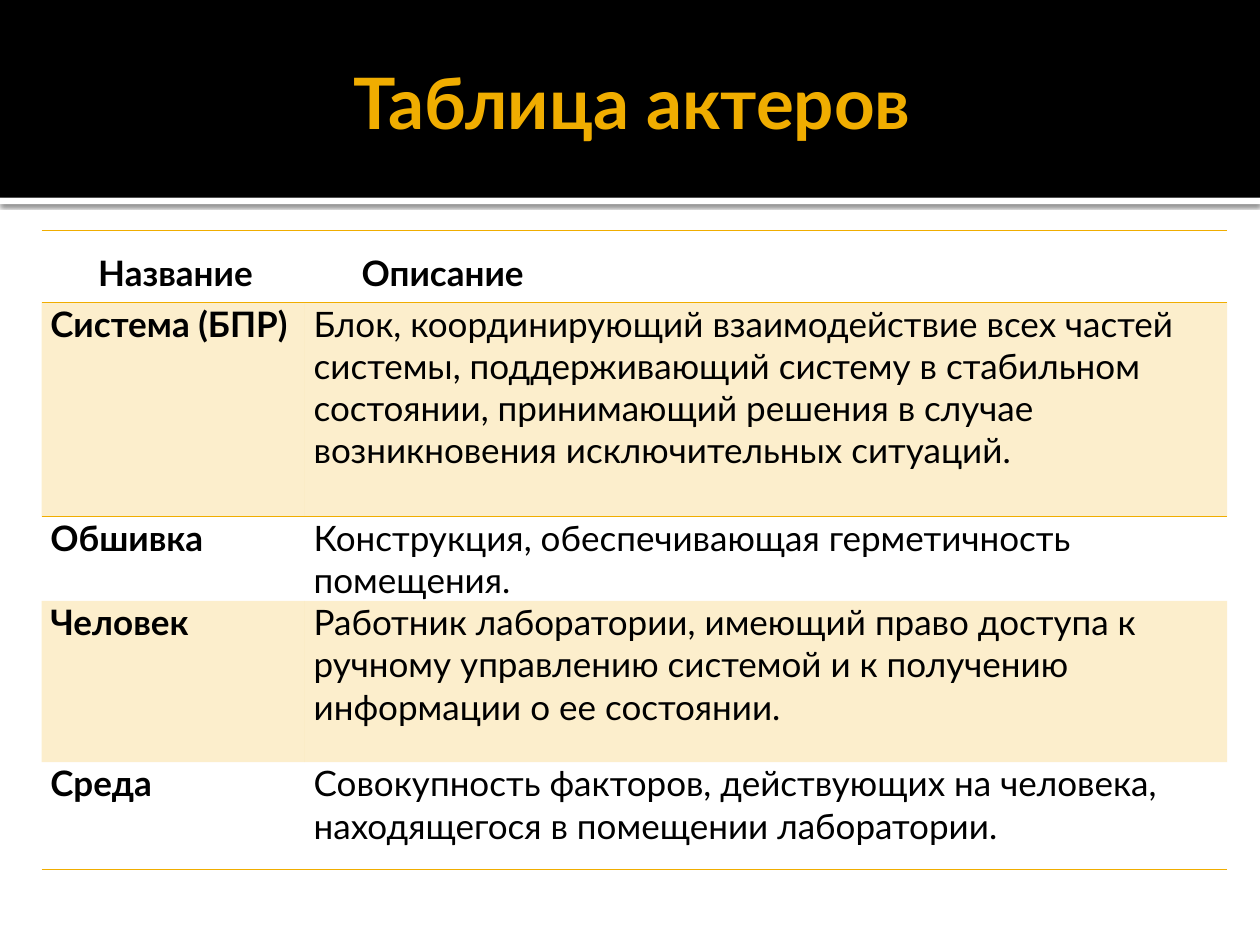
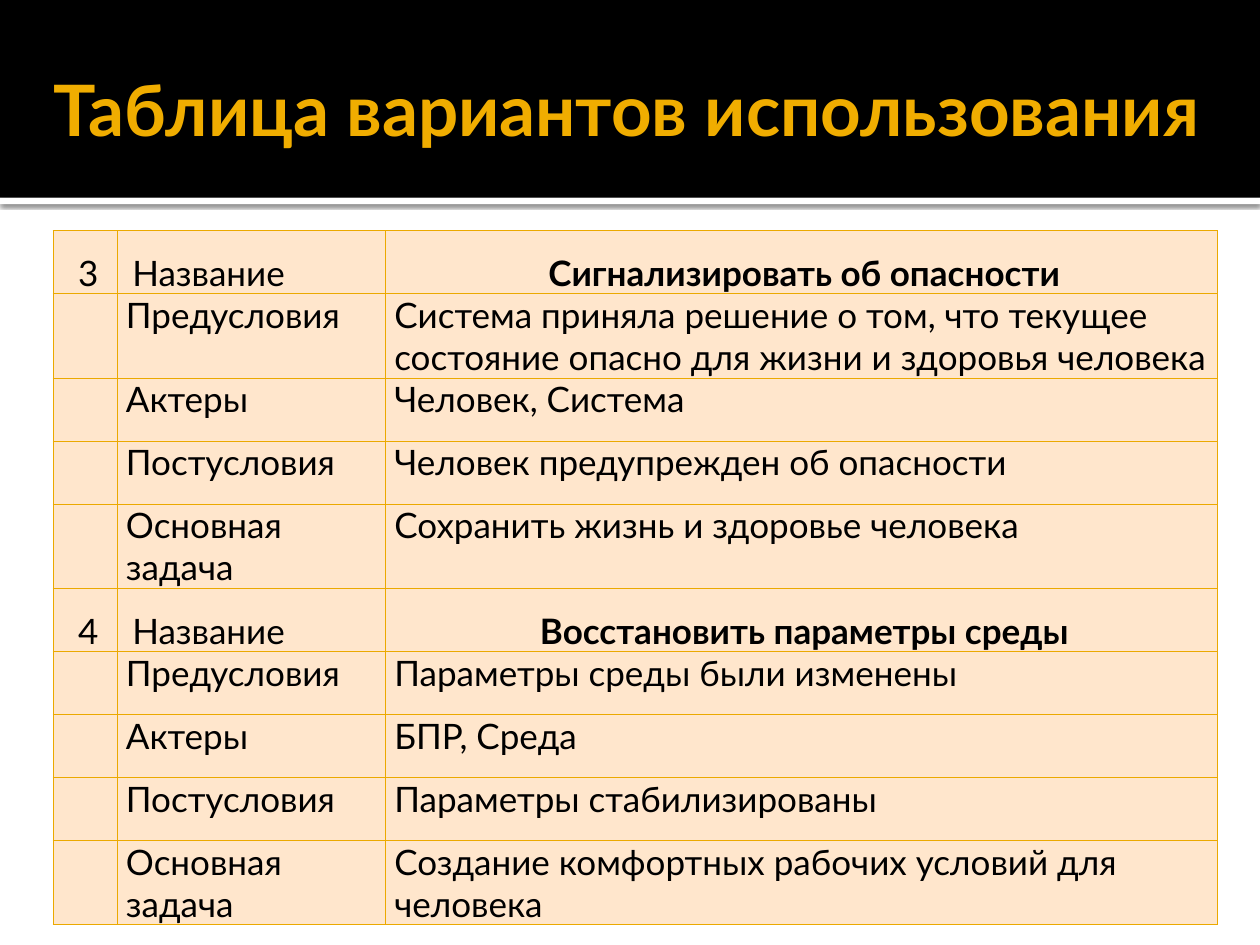
"""Build two slides with the tables of actors and of use cases."""
from lxml.etree import SubElement
from pptx import Presentation
from pptx.dml.color import RGBColor
from pptx.enum.shapes import MSO_SHAPE as Shape
from pptx.enum.text import MSO_ANCHOR as Anchor, PP_ALIGN as Align
from pptx.oxml import parse_xml
from pptx.oxml.ns import nsdecls, qn
from pptx.util import Inches, Pt

COLORS = {"black": "000000", "white": "FFFFFF", "gold": "F0AD00",
          "grid": "EBA900", "peach": "FFE6CC"}
FONT = "Lato"
NO_STYLE = "{2D5ABB26-0587-4C30-8999-92F81FD0307C}"
SHADOW = (f'<a:effectLst {nsdecls("a")}><a:outerShdw blurRad="{Pt(2.5)}" dist="{Pt(0.8)}" '
          f'dir="5400000" algn="tl" rotWithShape="0"><a:srgbClr val="{COLORS["black"]}">'
          '<a:alpha val="60000"/></a:srgbClr></a:outerShdw></a:effectLst>')

titles = [
    ("Таблица актеров", (0.83, 0.42, 8.33, 0.77), Align.CENTER),
    ("Таблица вариантов использования", (0.33, 0.17, 9.42, 1.37), Align.LEFT),
]
actors = [
    ("Название", "Описание"),
    ("Система (БПР)", "Блок, координирующий взаимодействие всех частей системы, "
     "поддерживающий систему в стабильном состоянии, принимающий решения в случае "
     "возникновения исключительных ситуаций."),
    ("Обшивка", "Конструкция, обеспечивающая герметичность помещения."),
    ("Человек", "Работник лаборатории, имеющий право доступа к ручному управлению "
     "системой и к получению информации о ее состоянии."),
    ("Среда", "Совокупность факторов, действующих на человека, находящегося в "
     "помещении лаборатории."),
]
fields = ["Название", "Предусловия", "Актеры", "Постусловия", "Основная задача"]
cases = {
    "3": ["Сигнализировать об опасности",
          "Система приняла решение о том, что текущее состояние опасно для жизни "
          "и здоровья человека",
          "Человек, Система", "Человек предупрежден об опасности",
          "Сохранить жизнь и здоровье человека"],
    "4": ["Восстановить параметры среды", "Параметры среды были изменены",
          "БПР, Среда", "Параметры стабилизированы",
          "Создание комфортных рабочих условий для человека"],
}
case_rows = [(number if field == fields[0] else "", field, value)
             for number, values in cases.items() for field, value in zip(fields, values)]


def add_grid(page, left, top, widths, heights, rows):
    frame = page.shapes.add_table(len(rows), len(widths), Inches(left), Inches(top),
                                  Inches(sum(widths)), Inches(sum(heights)))
    next(frame.element.iter(qn("a:tableStyleId"))).text = NO_STYLE
    table = frame.table
    table.first_row = table.horz_banding = False
    for column, width in zip(table.columns, widths):
        column.width = Inches(width)
    for row, height, texts in zip(table.rows, heights, rows):
        row.height = Inches(height)
        for cell, text in zip(row.cells, texts):
            cell.margin_left = cell.margin_right = Inches(0.07)
            cell.margin_top = cell.margin_bottom = 0
            cell.fill.background()
            para = cell.text_frame.paragraphs[0]
            para.text = text
            para.font.size = Pt(20)
            for span in para.runs:
                span.font.name, span.font.size = FONT, Pt(20)
                span.font.color.rgb = RGBColor.from_string(COLORS["black"])
    return table


def set_borders(cell, sides, color, width):
    properties = cell._tc.get_or_add_tcPr()
    for place, side in enumerate(sides):
        properties.insert(place, parse_xml(
            f'<a:ln{side} {nsdecls("a")} w="{Pt(width)}"><a:solidFill>'
            f'<a:srgbClr val="{COLORS[color]}"/></a:solidFill></a:ln{side}>'))


deck = Presentation()
deck.slide_width, deck.slide_height = Inches(10), Inches(7.5)

pages = []
for title, place, align in titles:
    page = deck.slides.add_slide(deck.slide_layouts[6])
    pages.append(page)
    for top, height, color in [(1.57, 0.05, "white"), (0, 1.57, "black")]:
        band = page.shapes.add_shape(Shape.RECTANGLE, 0, Inches(top), Inches(10), Inches(height))
        band.fill.solid()
        band.fill.fore_color.rgb = RGBColor.from_string(COLORS[color])
        band.line.fill.background()
        band.shadow.inherit = False
        if color == "white":
            empty = band.element.spPr.find(qn("a:effectLst"))
            band.element.spPr.replace(empty, parse_xml(SHADOW))
    box = page.shapes.add_textbox(*map(Inches, place))
    frame = box.text_frame
    frame.word_wrap = True
    frame.vertical_anchor = Anchor.MIDDLE
    frame.margin_right = Inches(0.05)
    frame.text = title
    para = frame.paragraphs[0]
    para.alignment = align
    font = para.runs[0].font
    font.name, font.size, font.bold = FONT, Pt(40.5), True
    font.color.rgb = RGBColor.from_string(COLORS["gold"])

actor_table = add_grid(pages[0], 0.33, 1.83, [2.09, 7.32], [0.57, 1.7, 0.67, 1.28, 0.85], actors)
for index, row in enumerate(actor_table.rows):
    for column, cell in enumerate(row.cells):
        para = cell.text_frame.paragraphs[0]
        para.runs[0].font.bold = index == 0 or column == 0
        if index == 0:
            para.alignment = Align.JUSTIFY
            para.line_spacing = 1.5
            para._p.get_or_add_pPr().set("indent", str(Inches(0.38)))
            set_borders(cell, "TB", "gold", 1)
        if index % 2:
            cell.fill.solid()
            cell.fill.fore_color.rgb = RGBColor.from_string(COLORS["gold"])
            tint = next(cell._tc.tcPr.iterchildren(qn("a:solidFill")))[0]
            SubElement(tint, qn("a:alpha")).set("val", "20000")
        if index == 1:
            set_borders(cell, "T", "gold", 1)
        if index == len(actors) - 1:
            set_borders(cell, "B", "gold", 1)

tall_rows = (1, 4, 9)
case_heights = [0.67 if index in tall_rows else 0.5 for index in range(len(case_rows))]
case_table = add_grid(pages[1], 0.42, 1.83, [0.51, 2.13, 6.6], case_heights, case_rows)
for index, row in enumerate(case_table.rows):
    for column, cell in enumerate(row.cells):
        cell.fill.solid()
        cell.fill.fore_color.rgb = RGBColor.from_string(COLORS["peach"])
        set_borders(cell, "LRTB", "grid", 0.5)
        if index % len(fields) == 0:
            para = cell.text_frame.paragraphs[0]
            para.alignment = Align.LEFT if column == 1 else Align.CENTER
            para.line_spacing = 1.5
            para.space_before = para.space_after = Pt(2)
            para._p.get_or_add_pPr().set("indent", str(Inches(0.05)))
            para.runs[0].font.bold = column == 2

deck.save("out.pptx")
